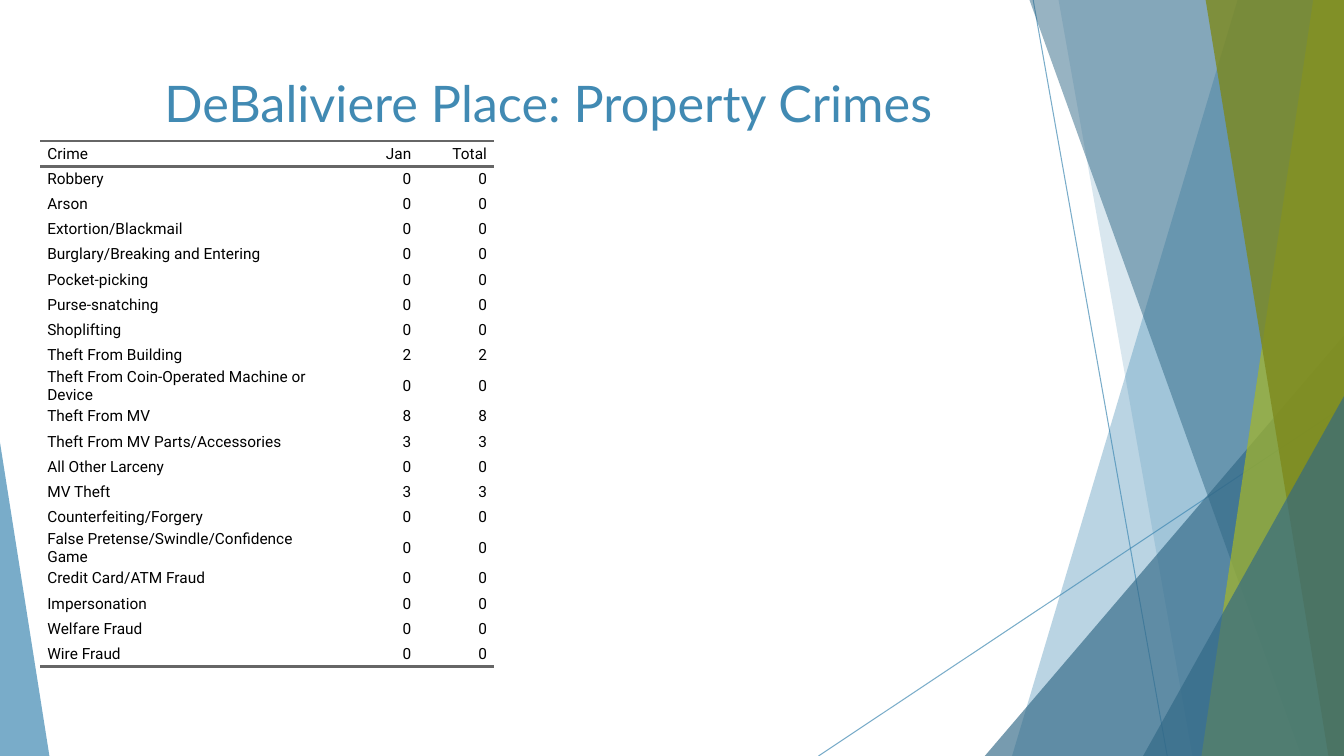
import dataclasses

import lxml.etree
import pptx
import pptx.dml.color
import pptx.enum.shapes
import pptx.enum.text
import pptx.oxml.ns
import pptx.util

Pt = pptx.util.Pt
qn = pptx.oxml.ns.qn
NO_STYLE = "{2D5ABB26-0587-4C30-8999-92F81FD0307C}"


@dataclasses.dataclass(frozen=True)
class Theme:
    blue: str = "418AB3"
    deep_blue: str = "316886"
    lime: str = "A6B727"
    olive: str = "7D891D"
    ink: str = "000000"
    rule: str = "666666"
    title_font: str = "Lato"
    table_font: str = "Roboto"
    title_size: float = 36
    table_size: float = 11
    rule_width: float = 2
    line_width: float = 0.75


THEME = Theme()
WIDTH, HEIGHT, BLEED = 960, 540, 0.72

# Slanted panels reach the right edge: top-left x, bottom-left x, colour, opacity
BACK_PANELS = [(884.16, 722.88, THEME.blue, 36), (756, 851.76, THEME.blue, 20)]
FRONT_PANELS = [
    (735.12, 929.52, THEME.deep_blue, 50),
    (938.16, 858.24, THEME.lime, 70),
    (861.12, 948.96, THEME.olive, 80),
]

# The Total column equals the only month, January
CRIMES = [
    ("Robbery", 0),
    ("Arson", 0),
    ("Extortion/Blackmail", 0),
    ("Burglary/Breaking and Entering", 0),
    ("Pocket-picking", 0),
    ("Purse-snatching", 0),
    ("Shoplifting", 0),
    ("Theft From Building", 2),
    ("Theft From Coin-Operated Machine or Device", 0),
    ("Theft From MV", 8),
    ("Theft From MV Parts/Accessories", 3),
    ("All Other Larceny", 0),
    ("MV Theft", 3),
    ("Counterfeiting/Forgery", 0),
    ("False Pretense/Swindle/Confidence Game", 0),
    ("Credit Card/ATM Fraud", 0),
    ("Impersonation", 0),
    ("Welfare Fraud", 0),
    ("Wire Fraud", 0),
]


def rgb(colour):
    return pptx.dml.color.RGBColor.from_string(colour)


def set_opacity(element, percent):
    colour = next(element.iter(qn("a:srgbClr")))
    lxml.etree.SubElement(colour, qn("a:alpha"), val=str(percent * 1000))


def style_font(font, name, size, colour):
    font.name, font.size = name, Pt(size)
    font.color.rgb = rgb(colour)


def paint(shape, colour, opacity):
    shape.shadow.inherit = False
    shape.line.fill.background()
    shape.fill.solid()
    shape.fill.fore_color.rgb = rgb(colour)
    set_opacity(shape.element.spPr, opacity)


def add_panel(page, top_x, bottom_x, colour, opacity):
    outline = page.shapes.build_freeform(Pt(top_x), Pt(-BLEED))
    corners = [(WIDTH, -BLEED), (WIDTH, HEIGHT), (bottom_x, HEIGHT)]
    outline.add_line_segments([(Pt(x), Pt(y)) for x, y in corners], close=True)
    paint(outline.convert_to_shape(), colour, opacity)


def add_triangle(page, left, top, width, apex, colour, opacity):
    triangle = page.shapes.add_shape(
        pptx.enum.shapes.MSO_SHAPE.ISOSCELES_TRIANGLE,
        Pt(left), Pt(top), Pt(width), Pt(HEIGHT - top))
    triangle.adjustments[0] = apex
    paint(triangle, colour, opacity)


def add_thin_line(page, *ends):
    line = page.shapes.add_connector(
        pptx.enum.shapes.MSO_CONNECTOR.STRAIGHT, *[Pt(value) for value in ends])
    line.line.color.rgb = rgb(THEME.blue)
    line.line.width = Pt(THEME.line_width)
    set_opacity(line.element.spPr, 70)
    lxml.etree.SubElement(line.element.spPr, qn("a:effectLst"))


def add_rule(cell, side):
    properties = cell._tc.get_or_add_tcPr()
    line = lxml.etree.Element(qn(side), w=str(Pt(THEME.rule_width)))
    fill = lxml.etree.SubElement(line, qn("a:solidFill"))
    lxml.etree.SubElement(fill, qn("a:srgbClr"), val=THEME.rule)
    properties.insert(0, line)


def fill_cell(cell, text, is_number):
    cell.fill.background()
    cell.margin_left = cell.margin_right = cell.margin_top = cell.margin_bottom = 0
    cell.vertical_anchor = pptx.enum.text.MSO_ANCHOR.MIDDLE
    cell.text_frame.text = str(text)
    para = cell.text_frame.paragraphs[0]
    para.space_after = Pt(5)
    if is_number:
        para.alignment = pptx.enum.text.PP_ALIGN.RIGHT
    indents = para._p.get_or_add_pPr()
    for side in ("marL", "marR"):
        indents.set(side, str(Pt(5)))
    style_font(para.runs[0].font, THEME.table_font, THEME.table_size, THEME.ink)


def add_crime_table(page):
    rows = [("Crime", "Jan", "Total")] + [(name, n, n) for name, n in CRIMES]
    widths, row_height = [216, 54, 54], 18
    frame = page.shapes.add_table(
        len(rows), len(widths), Pt(28.8), Pt(100.8),
        Pt(sum(widths)), Pt(row_height * len(rows)))
    next(frame.element.iter(qn("a:tableStyleId"))).text = NO_STYLE
    table = frame.table
    table.first_row = table.horz_banding = False
    for column, width in zip(table.columns, widths):
        column.width = Pt(width)
    for row_index, row in enumerate(rows):
        for column_index, text in enumerate(row):
            cell = table.cell(row_index, column_index)
            fill_cell(cell, text, column_index > 0)
            # Rules around the header and under the last row
            if row_index in (0, len(rows) - 1):
                add_rule(cell, "a:lnB")
            if row_index == 0:
                add_rule(cell, "a:lnT")


def set_title(page, text):
    title = page.shapes.title
    title.left, title.top = Pt(53.28), Pt(48.24)
    title.width, title.height = Pt(676.8), Pt(103.68)
    title.text_frame.text = text
    title.text_frame.vertical_anchor = pptx.enum.text.MSO_ANCHOR.TOP
    para = title.text_frame.paragraphs[0]
    para.alignment = pptx.enum.text.PP_ALIGN.CENTER
    style_font(para.runs[0].font, THEME.title_font, THEME.title_size, THEME.blue)


def add_backdrop(page):
    add_thin_line(page, 738, 0, 833.76, HEIGHT)
    add_thin_line(page, WIDTH, 290.16, 584.64, HEIGHT)
    for panel in BACK_PANELS:
        add_panel(page, *panel)
    add_triangle(page, 703.44, 239.76, 256.56, 1, THEME.deep_blue, 66)
    for panel in FRONT_PANELS:
        add_panel(page, *panel)
    add_triangle(page, 816.48, 282.96, 143.52, 1, THEME.deep_blue, 66)
    add_triangle(page, 0, 316.08, 35.28, 0, THEME.blue, 70)


def main():
    deck = pptx.Presentation()
    deck.slide_width, deck.slide_height = Pt(WIDTH), Pt(HEIGHT)
    page = deck.slides.add_slide(deck.slide_layouts.get_by_name("Title Only"))
    add_backdrop(page)
    add_crime_table(page)
    set_title(page, "DeBaliviere Place: Property Crimes")
    deck.save("out.pptx")


if __name__ == "__main__":
    main()
